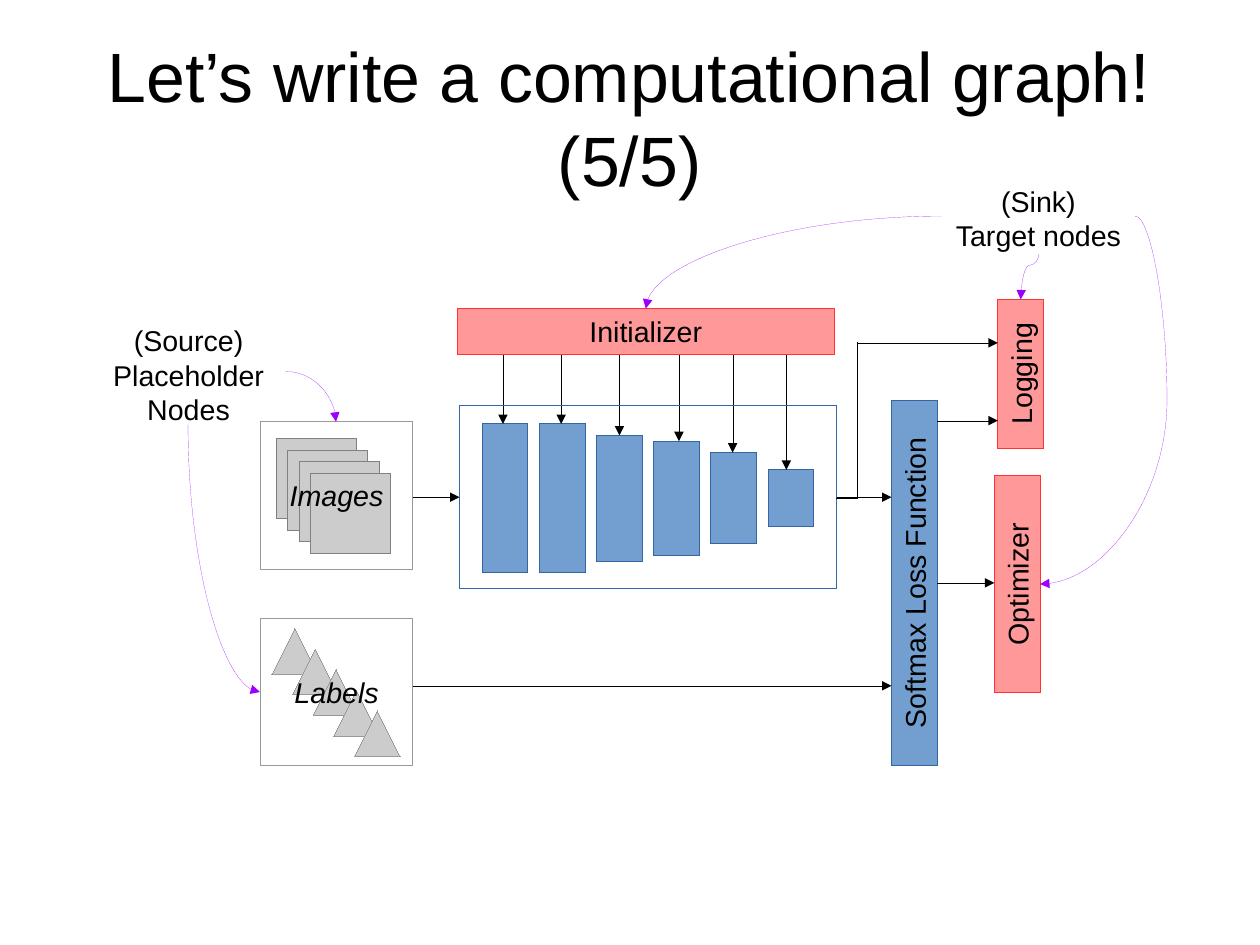
from pptx import Presentation
from pptx.dml.color import RGBColor
from pptx.enum.shapes import MSO_CONNECTOR as Link, MSO_SHAPE as Shape
from pptx.enum.text import MSO_ANCHOR as Anchor, MSO_AUTO_SIZE as AutoSize, PP_ALIGN as Align
from pptx.oxml.ns import qn
from pptx.oxml.xmlchemy import OxmlElement
from pptx.util import Cm, Inches, Pt

FONT = "Arial"
BLACK = RGBColor(0x00, 0x00, 0x00)
GREY_FILL = RGBColor(0xCC, 0xCC, 0xCC)
GREY_LINE = RGBColor(0x99, 0x99, 0x99)
DARK_GREY = RGBColor(0x80, 0x80, 0x80)
BLUE_FILL = RGBColor(0x72, 0x9F, 0xCF)
BLUE_LINE = RGBColor(0x34, 0x65, 0xA4)
RED_FILL = RGBColor(0xFF, 0x99, 0x99)
RED_LINE = RGBColor(0xFF, 0x33, 0x33)
PURPLE = RGBColor(0x99, 0x00, 0xFF)
TOP, LEFT, BOTTOM, RIGHT = range(4)


def format_text(frame, size=18, italic=False):
    for para in frame.paragraphs:
        para.alignment = Align.CENTER
        for span in para.runs:
            span.font.name = FONT
            span.font.size = Pt(size)
            span.font.italic = italic
            span.font.color.rgb = BLACK


def draw_hairline(item, color):
    """Colour the outline and write its zero width, which line.width leaves out."""
    item.line.color.rgb = color
    outline = item._element.spPr.find(qn("a:ln"))
    outline.set("w", "0")
    return outline


def add_title(page, text):
    title = page.shapes.title
    title.left, title.top = Inches(0.55), Inches(0.33)
    title.width, title.height = Inches(9.92), Inches(1.38)
    frame = title.text_frame
    frame.text = text
    frame.word_wrap = True
    frame.auto_size = AutoSize.SHAPE_TO_FIT_TEXT
    frame.vertical_anchor = Anchor.MIDDLE
    frame.margin_left = frame.margin_right = frame.margin_top = frame.margin_bottom = 0
    format_text(frame, 44)


def add_box(page, area, fill, outline, text="", kind=Shape.RECTANGLE, rotation=0, italic=False):
    box = page.shapes.add_shape(kind, *map(Inches, area))
    box.shadow.inherit = False
    box.rotation = rotation
    if fill is None:
        box.fill.background()
    else:
        box.fill.solid()
        box.fill.fore_color.rgb = fill
    draw_hairline(box, outline)
    if text:
        frame = box.text_frame
        frame.text = text
        frame.word_wrap = False
        frame.vertical_anchor = Anchor.MIDDLE
        format_text(frame, italic=italic)
    return box


def add_note(page, area, text):
    frame = page.shapes.add_textbox(*map(Inches, area)).text_frame
    frame.text = text
    frame.word_wrap = True
    frame.auto_size = AutoSize.SHAPE_TO_FIT_TEXT
    format_text(frame)


def style_link(link, color, arrowhead=True):
    outline = draw_hairline(link, color)
    if arrowhead:
        tail = OxmlElement("a:tailEnd")
        tail.set("type", "triangle")
        outline.append(tail)
    link._element.spPr.append(OxmlElement("a:effectLst"))


def add_arrow(page, start, end, source=None, target=None):
    """Draw a straight arrow; source and target are (box, side) pairs."""
    points = [Inches(value) for value in (*start, *end)]
    arrow = page.shapes.add_connector(Link.STRAIGHT, *points)
    if source:
        arrow.begin_connect(*source)
    if target:
        arrow.end_connect(*target)
    # Joining ignores rotation, so the ends are set again
    arrow.begin_x, arrow.begin_y, arrow.end_x, arrow.end_y = points
    style_link(arrow, BLACK)


def add_routed(page, preset, area, rotation=0, flip="", adjust=None, color=PURPLE, arrowhead=True):
    """Draw a bent or curved connector within its unrotated area."""
    left, top, width, height = area
    link = page.shapes.add_connector(
        Link.CURVE, Inches(left), Inches(top), Inches(left + width), Inches(top + height))
    properties = link._element.spPr
    frame = properties.find(qn("a:xfrm"))
    if rotation:
        frame.set("rot", str(rotation * 60000))
    if flip:
        frame.set("flip" + flip, "1")
    geometry = properties.find(qn("a:prstGeom"))
    geometry.set("prst", preset)
    if adjust is not None:
        guide = OxmlElement("a:gd")
        guide.set("name", "adj1")
        guide.set("fmla", f"val {adjust}")
        geometry.find(qn("a:avLst")).append(guide)
    style_link(link, color, arrowhead)


def add_inputs(page):
    for step in range(5):
        offset = 0.18 * step
        add_box(page, (2.38 + offset, 5.5 + offset, 0.4, 0.4), GREY_FILL, GREY_LINE,
                kind=Shape.ISOSCELES_TRIANGLE)
    for step in range(4):
        offset = 0.1 * step
        add_box(page, (2.42 + offset, 3.84 + offset, 0.7, 0.7), GREY_FILL, DARK_GREY)
    for top, text in ((3.69, "Images"), (5.41, "Labels")):
        add_box(page, (2.28, top, 1.33, 1.29), None, GREY_LINE, text, italic=True)


def add_network(page):
    """Draw the layers, their frame and the initializer feeding them."""
    initializer_bottom, middle = 3.1, 4.36
    heights = (1.3, 1.3, 1.1, 1, 0.8, 0.5)
    feeds = (4.4, 4.91, 5.42, 5.94, 6.41, 6.88)
    for index, (height, feed) in enumerate(zip(heights, feeds)):
        top = middle - height / 2
        add_box(page, (4.22 + 0.5 * index, top, 0.4, height), BLUE_FILL, BLUE_LINE)
        add_arrow(page, (feed, initializer_bottom), (feed, top))
    network = add_box(page, (4.02, 3.55, 3.3, 1.6), None, BLUE_LINE)
    add_box(page, (4, 2.7, 3.3, 0.4), RED_FILL, RED_LINE, "Initializer")
    return network


def main():
    deck = Presentation()
    # The page is a metric format: 11.02 by 8.27 inches
    deck.slide_width = Cm(28)
    deck.slide_height = Cm(21)
    page = deck.slides.add_slide(deck.slide_layouts[5])
    add_title(page, "Let’s write a computational graph! (5/5)")

    # Graph nodes
    add_inputs(page)
    network = add_network(page)
    softmax = add_box(page, (6.4, 4.9, 3.2, 0.4), BLUE_FILL, BLUE_LINE,
                      "Softmax Loss Function", rotation=270)
    optimizer = add_box(page, (7.95, 4.91, 1.9, 0.4), RED_FILL, RED_LINE,
                        "Optimizer", rotation=270)
    add_box(page, (8.28, 3.07, 1.3, 0.4), RED_FILL, RED_LINE, "Logging", rotation=270)

    # Data flow
    add_arrow(page, (3.61, 4.35), (4.02, 4.35), target=(network, LEFT))
    add_arrow(page, (3.61, 6), (7.8, 6))
    add_arrow(page, (7.32, 4.35), (7.8, 4.35), source=(network, RIGHT))
    add_arrow(page, (8.2, 5.1), (8.7, 5.1), source=(softmax, BOTTOM), target=(optimizer, TOP))
    add_arrow(page, (8.2, 3.68), (8.73, 3.68))
    add_arrow(page, (7.5, 3), (8.73, 3))
    add_routed(page, "bentConnector2", (6.73, 3.59, 1.36, 0.18), 90,
               color=BLACK, arrowhead=False)

    # Target nodes
    add_note(page, (8.24, 1.56, 1.69, 0.66), "(Sink)\nTarget nodes")
    add_routed(page, "curvedConnector2", (5.65, 1.89, 2.59, 0.81), 180, "V")
    add_routed(page, "curvedConnector3", (8.81, 2.34, 0.4, 0.16), 90, adjust=25000)
    add_routed(page, "curvedConnector3", (9.1, 1.89, 0.83, 3.22), flip="H", adjust=-33900)

    # Source nodes
    add_note(page, (0.8, 2.78, 1.7, 0.94), "(Source)\nPlaceholder Nodes")
    add_routed(page, "curvedConnector2", (2.5, 3.25, 0.44, 0.44))
    add_routed(page, "curvedConnector2", (0.79, 4.57, 2.34, 0.63), 270, "H")

    deck.save("out.pptx")


if __name__ == "__main__":
    main()
